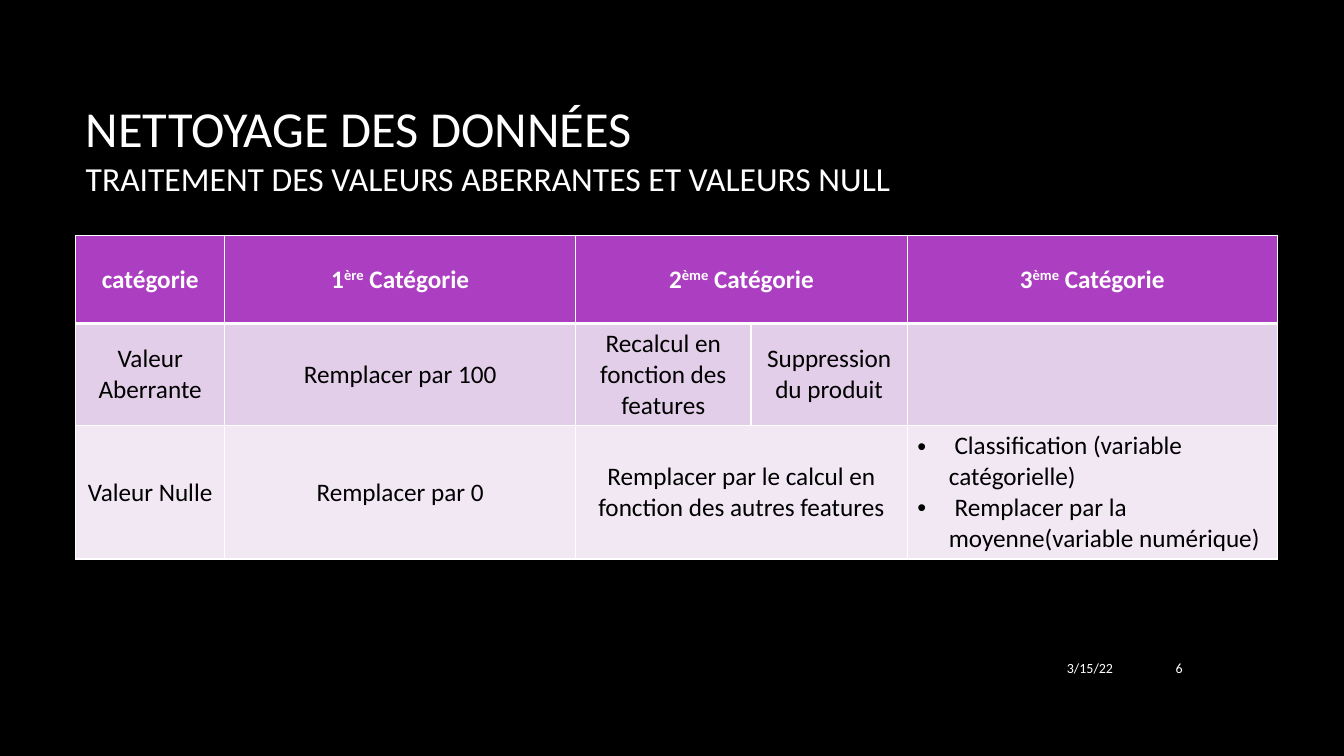
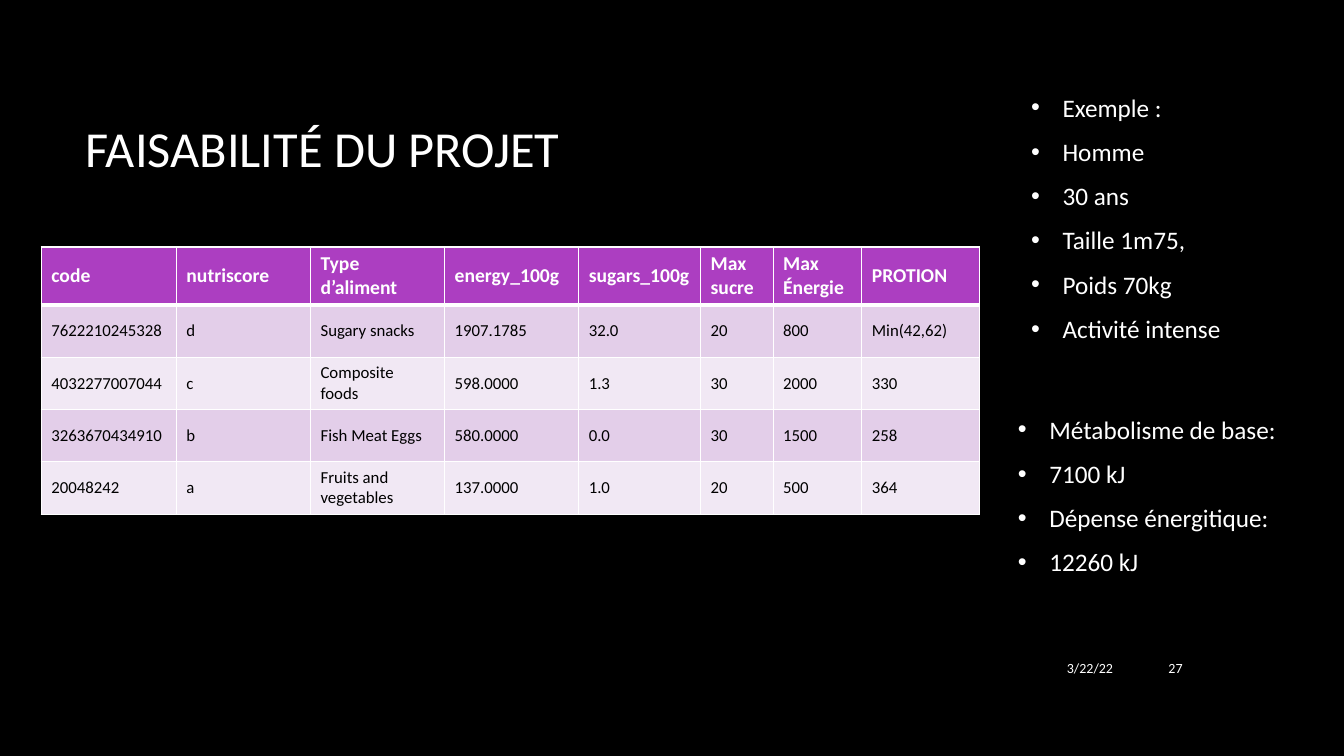
import pptx
import pptx.dml.color
import pptx.enum.text
import pptx.oxml
import pptx.oxml.ns
import pptx.util

Pt = pptx.util.Pt
ALIGN = pptx.enum.text.PP_ALIGN
MIDDLE = pptx.enum.text.MSO_ANCHOR.MIDDLE
FONT = "Calibri"
BLACK, WHITE = "000000", "FFFFFF"
PURPLE = "AC3EC1"
BANDS = ["E3CEE9", "F1E8F4"]
NAMESPACE = pptx.oxml.ns.nsdecls("a")
TITLE_SIZES = [36, 24]
BULLET_INDENT = 22.5


def paint(fill, colour):
    fill.solid()
    fill.fore_color.rgb = pptx.dml.color.RGBColor.from_string(colour)


def write(frame, lines, size, colour=WHITE, bold=False, align=ALIGN.LEFT, bullets=False, space_after=0):
    frame.word_wrap = True
    for index, line in enumerate(lines):
        paragraph = frame.paragraphs[0] if index == 0 else frame.add_paragraph()
        paragraph.alignment = align
        paragraph.space_after = Pt(space_after)
        if bullets:
            properties = paragraph._p.get_or_add_pPr()
            properties.set("marL", str(Pt(BULLET_INDENT)))
            properties.set("indent", str(-Pt(BULLET_INDENT)))
            for markup in ('<a:buFont {} typeface="Arial"/>', '<a:buChar {} char="•"/>'):
                properties.append(pptx.oxml.parse_xml(markup.format(NAMESPACE)))
        for position, text in enumerate(line.split("^")):
            run = paragraph.add_run()
            run.text = text
            run.font.name = FONT
            run.font.size = Pt(size)
            run.font.bold = bold
            paint(run.font.fill, colour)
            if position % 2:
                run._r.get_or_add_rPr().set("baseline", "30000")


slides = [
    {
        "title": ["NETTOYAGE DES DONNÉES", "TRAITEMENT DES VALEURS ABERRANTES ET VALEURS NULL"],
        "date": "3/15/22",
        "number": "6",
        "table_at": (54, 168.5),
        "columns": [106.6, 250.6, 125.3, 111.6, 264.2],
        "row_height": 62.6,
        "sizes": (18, 18),
        "align": ALIGN.CENTER,
        "merges": [(0, 2, 3), (2, 2, 3)],
        "rows": [
            ["catégorie", "1^ère^ Catégorie", "2^ème^ Catégorie", "", "3^ème^ Catégorie"],
            ["Valeur Aberrante", "Remplacer par 100", "Recalcul en fonction des features",
             "Suppression du produit", ""],
            ["Valeur Nulle", "Remplacer par 0",
             "Remplacer par le calcul en fonction des autres features", "",
             [" Classification (variable catégorielle)",
              " Remplacer par la moyenne(variable numérique)"]],
        ],
        "lists": [],
    },
    {
        "title": ["FAISABILITÉ DU PROJET"],
        "date": "3/22/22",
        "number": "27",
        "table_at": (29.5, 176.4),
        "columns": [96.5, 95.8, 95.8, 95.8, 87.1, 51.8, 63.4, 84.2],
        "row_height": 37.4,
        "sizes": (14, 12),
        "align": ALIGN.LEFT,
        "merges": [],
        "rows": [
            ["code", "nutriscore", "Type d’aliment", "energy_100g", "sugars_100g",
             "Max sucre", "Max Énergie", "PROTION"],
            ["7622210245328", "d", "Sugary snacks", "1907.1785", "32.0", "20", "800", "Min(42,62)"],
            ["4032277007044", "c", "Composite foods", "598.0000", "1.3", "30", "2000", "330"],
            ["3263670434910", "b", "Fish Meat Eggs", "580.0000", "0.0", "30", "1500", "258"],
            ["20048242", "a", "Fruits and vegetables", "137.0000", "1.0", "20", "500", "364"],
        ],
        "lists": [
            ((729.4, 48.2, 184.3, 214.6),
             ["Exemple :", "Homme", "30 ans", "Taille 1m75,", "Poids 70kg", "Activité intense"]),
            ((720, 280.8, 220.3, 146.2),
             ["Métabolisme de base:", "7100 kJ", "Dépense énergitique:", "12260 kJ"]),
        ],
    },
]

presentation = pptx.Presentation()
presentation.slide_width = Pt(960)
presentation.slide_height = Pt(540)
paint(presentation.slide_master.background.fill, BLACK)
title_only = presentation.slide_layouts[5]

for content in slides:
    slide = presentation.slides.add_slide(title_only)

    title = slide.shapes.title
    title.left, title.top, title.width, title.height = Pt(54), Pt(48.2), Pt(797.8), Pt(114.5)
    title.text_frame.vertical_anchor = MIDDLE
    title.text_frame.word_wrap = True
    paragraph = title.text_frame.paragraphs[0]
    paragraph.alignment = ALIGN.LEFT
    for index, (text, size) in enumerate(zip(content["title"], TITLE_SIZES)):
        if index:
            paragraph.add_line_break()
        run = paragraph.add_run()
        run.text = text
        run.font.name = FONT
        run.font.size = Pt(size)
        paint(run.font.fill, WHITE)

    rows, columns = content["rows"], content["columns"]
    left, top = content["table_at"]
    table = slide.shapes.add_table(
        len(rows), len(columns), Pt(left), Pt(top),
        Pt(sum(columns)), Pt(content["row_height"] * len(rows))).table
    table.horz_banding = False
    for column, width in zip(table.columns, columns):
        column.width = Pt(width)
    for row_index, row in enumerate(rows):
        table.rows[row_index].height = Pt(content["row_height"])
        is_header = row_index == 0
        borders = {"L": 1, "R": 1, "T": 3 if row_index == 1 else 1, "B": 3 if is_header else 1}
        for column_index, value in enumerate(row):
            cell = table.cell(row_index, column_index)
            cell.vertical_anchor = MIDDLE
            properties = cell._tc.get_or_add_tcPr()
            for side, width in borders.items():
                properties.append(pptx.oxml.parse_xml(
                    f'<a:ln{side} {NAMESPACE} w="{Pt(width)}"><a:solidFill>'
                    f'<a:srgbClr val="{WHITE}"/></a:solidFill></a:ln{side}>'))
            paint(cell.fill, PURPLE if is_header else BANDS[(row_index - 1) % 2])
            is_list = isinstance(value, list)
            if value:
                write(cell.text_frame, value if is_list else [value],
                      content["sizes"][0 if is_header else 1],
                      WHITE if is_header else BLACK, is_header,
                      ALIGN.LEFT if is_list else content["align"], is_list)
    for row_index, first, last in content["merges"]:
        table.cell(row_index, first).merge(table.cell(row_index, last))

    boxes = [(place, lines, 18, ALIGN.LEFT, True, 10) for place, lines in content["lists"]]
    boxes.append(((676.1, 462.2, 126, 29.5), [content["date"]], 10, ALIGN.RIGHT, False, 0))
    boxes.append(((808.6, 462.2, 43.2, 29.5), [content["number"]], 10, ALIGN.RIGHT, False, 0))
    for place, lines, size, align, bullets, space_after in boxes:
        box = slide.shapes.add_textbox(*[Pt(length) for length in place])
        box.text_frame.vertical_anchor = MIDDLE
        write(box.text_frame, lines, size, align=align, bullets=bullets, space_after=space_after)

presentation.save("out.pptx")
